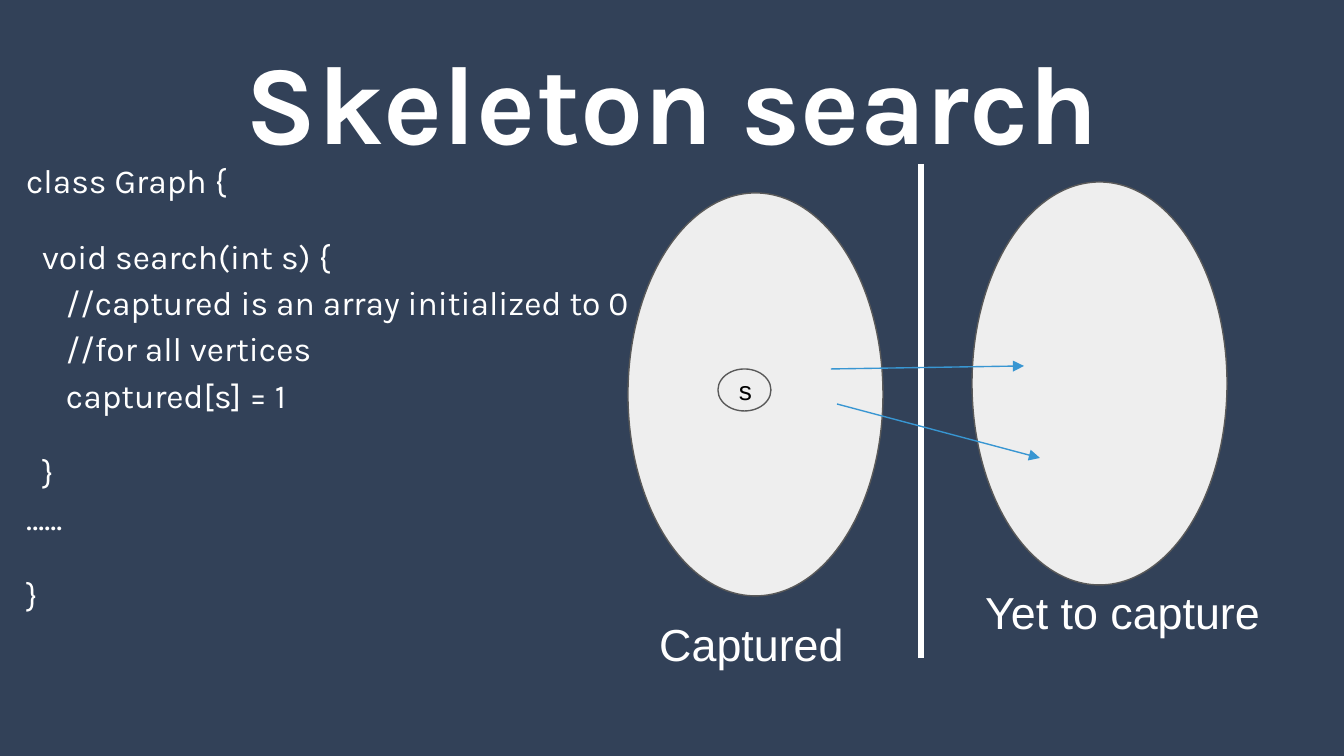
from dataclasses import dataclass

from lxml.etree import SubElement
from pptx import Presentation
from pptx.dml.color import RGBColor
from pptx.enum.shapes import MSO_CONNECTOR, MSO_SHAPE
from pptx.enum.text import MSO_ANCHOR, MSO_AUTO_SIZE, PP_ALIGN
from pptx.oxml.ns import qn
from pptx.util import Emu, Inches, Pt

SLIDE_W, SLIDE_H = 1344, 756


@dataclass(frozen=True)
class Theme:
    background: str = "324158"
    text: str = "FFFFFF"
    node_text: str = "000000"
    fill: str = "EEEEEE"
    outline: str = "595959"
    arrow: str = "3896D2"
    heading_font: str = "Karla"
    label_font: str = "Arial"
    title_size: int = 60
    label_size: int = 24
    code_size: int = 18
    node_size: int = 14


@dataclass(frozen=True)
class Box:
    left: int
    top: int
    width: int
    height: int

    def emu(self) -> tuple:
        return tuple(px(v) for v in (self.left, self.top, self.width, self.height))


@dataclass(frozen=True)
class VertexSet:
    oval: Box
    label: str
    label_box: Box


@dataclass(frozen=True)
class Line:
    start: tuple[int, int]
    end: tuple[int, int]
    color: str
    weight: float
    arrow: bool = False


THEME = Theme()


def px(value: int) -> Emu:
    return Emu(round(value * Inches(10) / SLIDE_W))


def rgb(color: str) -> RGBColor:
    return RGBColor.from_string(color)


def write(tf, paragraphs: list[str], font: str, size: int, color: str = THEME.text,
          bold: bool = False, align=PP_ALIGN.LEFT, anchor=MSO_ANCHOR.TOP,
          line_spacing: float = 1.0, gap: int = 0) -> None:
    """Fill a text frame; a vertical tab in a paragraph is a line break."""
    tf.word_wrap = True
    tf.auto_size = MSO_AUTO_SIZE.NONE
    tf.vertical_anchor = anchor
    tf.margin_left = tf.margin_right = tf.margin_top = tf.margin_bottom = Inches(0.1)
    for i, text in enumerate(paragraphs):
        p = tf.paragraphs[0] if i == 0 else tf.add_paragraph()
        p.text = text
        p.alignment = align
        p.line_spacing = line_spacing
        p.space_before = Pt(gap if i else 0)
        p.font.name = font
        p.font.size = Pt(size)
        p.font.bold = bold
        p.font.color.rgb = rgb(color)


def add_text(s, box: Box, paragraphs: list[str], font: str, size: int, **style) -> None:
    write(s.shapes.add_textbox(*box.emu()).text_frame, paragraphs, font, size, **style)


def add_oval(s, kind, box: Box):
    sp = s.shapes.add_shape(kind, *box.emu())
    sp.shadow.inherit = False
    sp.fill.solid()
    sp.fill.fore_color.rgb = rgb(THEME.fill)
    sp.line.color.rgb = rgb(THEME.outline)
    sp.line.width = Pt(0.75)
    return sp


def add_line(s, line: Line) -> None:
    points = [px(v) for v in (*line.start, *line.end)]
    cxn = s.shapes.add_connector(MSO_CONNECTOR.STRAIGHT, *points)
    cxn.line.color.rgb = rgb(line.color)
    cxn.line.width = Pt(line.weight)
    if line.arrow:
        SubElement(cxn.line._get_or_add_ln(), qn("a:tailEnd"), type="triangle")
    SubElement(cxn._element.spPr, qn("a:effectLst"))


VERTEX_SETS = [
    VertexSet(Box(628, 193, 255, 403), "Captured", Box(646, 603, 219, 67)),
    VertexSet(Box(972, 182, 255, 403), "Yet to capture", Box(972, 571, 340, 42)),
]

LINES = [
    Line((921, 164), (921, 658), THEME.text, 3),
    Line((831, 369), (1024, 366), THEME.arrow, 0.75, arrow=True),
    Line((837, 404), (1040, 458), THEME.arrow, 0.75, arrow=True),
]

CODE = [
    "class Graph {",
    "\v".join([
        "  void search(int s) {",
        "     //captured is an array initialized to 0",
        "     //for all vertices ",
        "     captured[s] = 1",
    ]),
    "  }\v…...",
    "}",
]


def main() -> None:
    prs = Presentation()
    prs.slide_width, prs.slide_height = px(SLIDE_W), px(SLIDE_H)
    s = prs.slides.add_slide(prs.slide_layouts[5])
    s.background.fill.solid()
    s.background.fill.fore_color.rgb = rgb(THEME.background)

    # Title
    title = s.shapes.title
    title.left, title.top, title.width, title.height = Box(46, -44, 1253, 288).emu()
    write(title.text_frame, ["Skeleton search"], THEME.heading_font, THEME.title_size,
          bold=True, align=PP_ALIGN.CENTER, anchor=MSO_ANCHOR.MIDDLE)

    # Vertex sets with their labels
    for group in VERTEX_SETS:
        add_oval(s, MSO_SHAPE.FLOWCHART_CONNECTOR, group.oval)
        add_text(s, group.label_box, [group.label], THEME.label_font, THEME.label_size)

    # Divider and crossing edges
    for line in LINES:
        add_line(s, line)

    # Start vertex
    node = add_oval(s, MSO_SHAPE.OVAL, Box(718, 369, 53, 42))
    write(node.text_frame, ["s"], THEME.label_font, THEME.node_size,
          color=THEME.node_text, anchor=MSO_ANCHOR.MIDDLE)

    # Code
    add_text(s, Box(13, 140, 1253, 503), CODE, THEME.heading_font, THEME.code_size,
             line_spacing=1.15, gap=16)

    prs.save("out.pptx")


if __name__ == "__main__":
    main()
